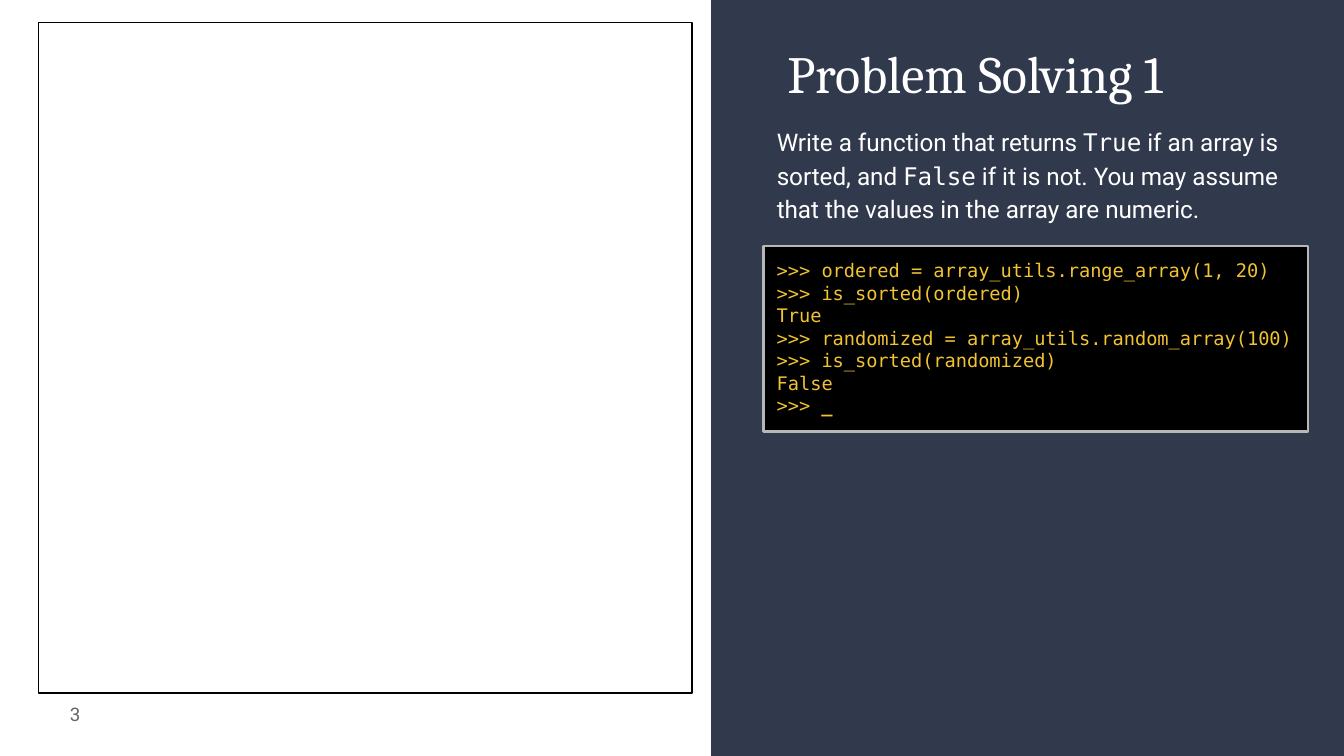
from dataclasses import dataclass
from typing import Optional

from pptx import Presentation
from pptx.dml.color import RGBColor
from pptx.enum.shapes import MSO_SHAPE as Shape
from pptx.enum.text import MSO_ANCHOR as Anchor, MSO_AUTO_SIZE as AutoSize, PP_ALIGN as Align
from pptx.oxml.ns import qn
from pptx.util import Cm, Pt

NAVY = RGBColor(0x31, 0x39, 0x4D)
WHITE = RGBColor(0xFF, 0xFF, 0xFF)
BLACK = RGBColor(0x00, 0x00, 0x00)
SILVER = RGBColor(0xB7, 0xB7, 0xB7)
GRAY = RGBColor(0x66, 0x66, 0x66)
GOLD = RGBColor(0xF1, 0xC2, 0x32)

SERIF, SANS, MONO = "Cambria", "Roboto", "DejaVu Sans Mono"
SLIDE_W, SLIDE_H = 25.4, 14.29
PANEL_X = 13.44
COLUMN_X, COLUMN_W = 14.43, 10.29


@dataclass
class Box:
    """Position and size in centimetres."""
    x: float
    y: float
    w: float
    h: float


@dataclass
class Style:
    font: str
    size: float
    color: RGBColor


def place(sp, box: Box) -> None:
    sp.left, sp.top, sp.width, sp.height = (Cm(v) for v in (box.x, box.y, box.w, box.h))


def paint(sp, fill: Optional[RGBColor], line: Optional[RGBColor] = None, width: float = 0.75) -> None:
    sp.shadow.inherit = False
    if fill is None:
        sp.fill.background()
    else:
        sp.fill.solid()
        sp.fill.fore_color.rgb = fill
    if line is None:
        sp.line.fill.background()
    else:
        sp.line.color.rgb = line
        sp.line.width = Pt(width)


def add_rect(slide, box: Box, fill: Optional[RGBColor], line: Optional[RGBColor] = None, width: float = 0.75):
    sp = slide.shapes.add_shape(Shape.RECTANGLE, 0, 0, 0, 0)
    place(sp, box)
    paint(sp, fill, line, width)
    return sp


def set_frame(tf, anchor: Anchor = Anchor.TOP) -> None:
    tf.auto_size = AutoSize.NONE
    tf.word_wrap = True
    tf.vertical_anchor = anchor
    tf.margin_left = tf.margin_right = tf.margin_top = tf.margin_bottom = Cm(0.25)


def style_runs(tf, style: Style, align: Align = Align.LEFT) -> None:
    for p in tf.paragraphs:
        p.alignment = align
        p.space_before = Pt(0)
        for r in p.runs:
            r.font.name = style.font
            r.font.size = Pt(style.size)
            r.font.color.rgb = style.color


PROMPT = [
    ("Write a function that returns ", SANS),
    ("True", MONO),
    (" if an array is sorted, and ", SANS),
    ("False", MONO),
    (" if it is not. You may assume that the values in the array are numeric.", SANS),
]
SESSION = """>>> ordered = array_utils.range_array(1, 20)
>>> is_sorted(ordered)
True
>>> randomized = array_utils.random_array(100)
>>> is_sorted(randomized)
False
>>> """


def main() -> None:
    prs = Presentation()
    prs.slide_width, prs.slide_height = Cm(SLIDE_W), Cm(SLIDE_H)
    slide = prs.slides.add_slide(prs.slide_layouts[1])
    title, body = slide.placeholders
    tree = title._element.getparent()

    # Dark side panel with its slanted overlay
    add_rect(slide, Box(PANEL_X, 0, SLIDE_W - PANEL_X, SLIDE_H), NAVY)
    builder = slide.shapes.build_freeform(Cm(PANEL_X), 0)
    corners = [(SLIDE_W, 0), (SLIDE_W, 9.75), (PANEL_X, 13.56)]
    builder.add_line_segments([(Cm(x), Cm(y)) for x, y in corners], close=True)
    paint(builder.convert_to_shape(), NAVY)

    # Slide number
    number = slide.shapes.add_textbox(0, 0, 0, 0)
    place(number, Box(0.25, 12.95, 1.52, 1.09))
    tf = number.text_frame
    set_frame(tf, Anchor.MIDDLE)
    tf.text = "3"
    style_runs(tf, Style(SANS, 10, GRAY), Align.RIGHT)

    # Title, brought in front of the panel
    tree.append(title._element)
    place(title, Box(14.63, 0.53, COLUMN_W, 1.78))
    tf = title.text_frame
    set_frame(tf)
    tf.text = "Problem Solving 1"
    style_runs(tf, Style(SERIF, 28, WHITE))

    # Empty answer area
    add_rect(slide, Box(0.73, 0.43, 12.35, 12.67), None, BLACK)

    # Task description
    tree.append(body._element)
    place(body, Box(COLUMN_X, 2.08, COLUMN_W, 2.13))
    tf = body.text_frame
    set_frame(tf)
    p = tf.paragraphs[0]
    for text, _ in PROMPT:
        p.add_run().text = text
    style_runs(tf, Style(SANS, 13, WHITE))
    for r, (_, font) in zip(p.runs, PROMPT):
        r.font.name = font
    p.line_spacing = 1.15
    p_pr = p._p.get_or_add_pPr()
    p_pr.set("marL", "0")
    p_pr.set("indent", "0")
    p_pr.append(p_pr.makeelement(qn("a:buNone"), {}))

    # Interpreter session
    console = add_rect(slide, Box(COLUMN_X, 4.65, COLUMN_W, 3.51), BLACK, SILVER, 1.5)
    tf = console.text_frame
    set_frame(tf)
    tf.text = SESSION
    cursor = tf.paragraphs[-1].add_run()
    cursor.text = "_"
    cursor.font.bold = True
    style_runs(tf, Style(MONO, 10, GOLD))

    prs.save("out.pptx")


if __name__ == "__main__":
    main()
